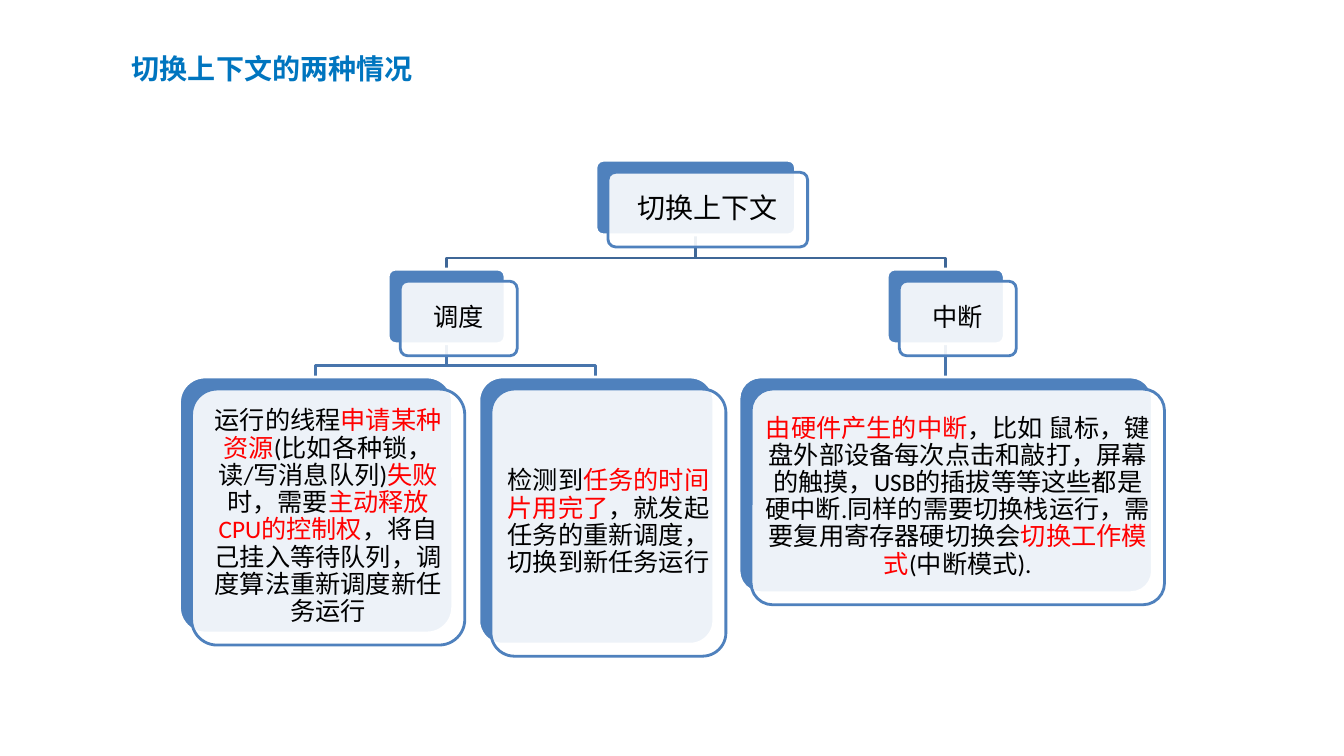
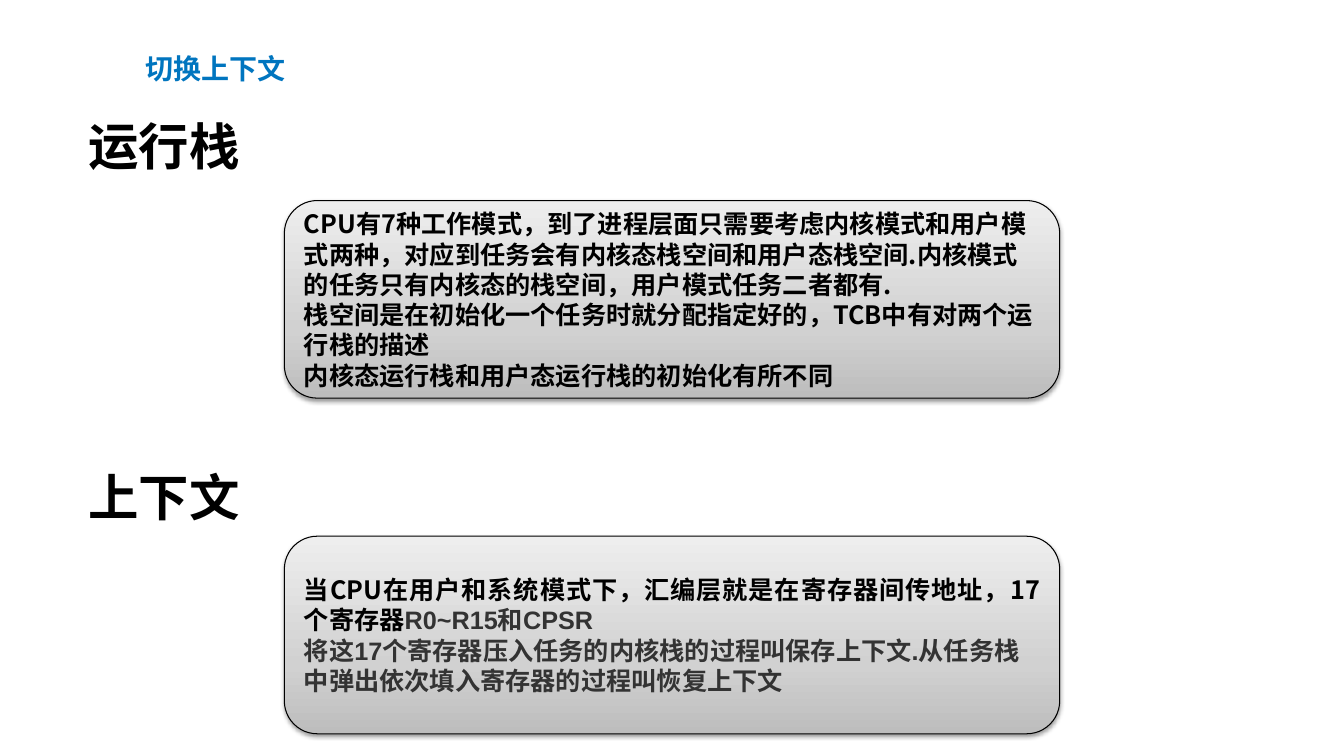
from copy import deepcopy
from dataclasses import dataclass

from lxml import etree
from pptx import Presentation
from pptx.dml.color import RGBColor
from pptx.enum.shapes import MSO_CONNECTOR, MSO_SHAPE
from pptx.enum.text import MSO_ANCHOR, PP_ALIGN
from pptx.oxml.ns import qn
from pptx.util import Emu, Pt

ROUNDED = MSO_SHAPE.ROUNDED_RECTANGLE
STRAIGHT = MSO_CONNECTOR.STRAIGHT
TOP, MIDDLE = MSO_ANCHOR.TOP, MSO_ANCHOR.MIDDLE
LEFT, CENTER, JUSTIFY = PP_ALIGN.LEFT, PP_ALIGN.CENTER, PP_ALIGN.JUSTIFY
EMU_PER_PX = 9144


def px(*lengths):
    return [Emu(length * EMU_PER_PX) for length in lengths]


@dataclass(frozen=True)
class Theme:
    title: str = "0075BF"
    ink: str = "000000"
    gray: str = "333333"
    alert: str = "FF0000"
    card: str = "4F81BD"
    paper: str = "FFFFFF"
    trunk: str = "3F6797"
    branch: str = "4875AC"
    panel: tuple = ((0, "BDBDBD"), (0.35, "D1D1D1"), (1, "EEEEEE"))
    cjk: str = "Noto Sans CJK SC"
    latin: str = "Calibri"
    heading: str = "Arial"
    heading_size: int = 36
    title_size: int = 20
    body_size: int = 18


@dataclass(frozen=True)
class Node:
    left: int
    top: int
    width: int
    height: int

    @property
    def middle(self):
        return self.left + self.width // 2

    @property
    def bottom(self):
        return self.top + self.height


class Deck:
    def __init__(self, theme):
        self.theme = theme
        self.presentation = Presentation()
        self.presentation.slide_width, self.presentation.slide_height = px(1333, 750)
        self.shapes = None

    def slide(self, title, left):
        layout = self.presentation.slide_layouts[6]
        self.shapes = self.presentation.slides.add_slide(layout).shapes
        theme = self.theme
        self.label(title, (left, 46, 318, 39), theme.title_size, theme.cjk, theme.title)

    def set_text(self, shape, paragraphs, size, font, color,
                 bold=False, align=LEFT, spacing=None, anchor=MIDDLE):
        frame = shape.text_frame
        frame.word_wrap = True
        frame.vertical_anchor = anchor
        for index, pieces in enumerate(paragraphs):
            paragraph = frame.add_paragraph() if index else frame.paragraphs[0]
            paragraph.alignment = align if index == 0 else LEFT
            if spacing:
                paragraph.line_spacing = spacing
            self.style(paragraph.font, size, font, color, bold)
            defaults = paragraph._p.pPr.find(qn("a:defRPr"))
            etree.SubElement(defaults, qn("a:ea"), typeface=self.theme.cjk)
            for text, run_color, run_font in pieces:
                run = paragraph.add_run()
                run.text = text
                if run_color:
                    run.font.color.rgb = RGBColor.from_string(run_color)
                if run_font:
                    run.font.name = run_font

    def style(self, target, size, font, color, bold):
        target.size = Pt(size)
        target.bold = bold
        target.color.rgb = RGBColor.from_string(color)
        target.name = font

    def label(self, text, box, size, font, color):
        shape = self.shapes.add_textbox(*px(*box))
        self.set_text(shape, [[plain(text)]], size, font, color, bold=True, anchor=TOP)

    def outline(self, shape, color, width):
        shape.line.color.rgb = RGBColor.from_string(color)
        shape.line.width = Pt(width)

    def rounded(self, box, line, width):
        shape = self.shapes.add_shape(ROUNDED, *px(*box))
        shape.shadow.inherit = False
        self.outline(shape, line, width)
        return shape

    def card(self, node, pieces, size, inset=7):
        theme = self.theme
        faces = ((0, theme.card, theme.paper), (12, theme.paper, theme.card))
        for shift, fill, line in faces:
            box = (node.left + shift, node.top + shift, node.width, node.height)
            face = self.rounded(box, line, 2)
            face.adjustments[0] = 0.1
            face.fill.solid()
            face.fill.fore_color.rgb = RGBColor.from_string(fill)
        tint = face._element.spPr.find(qn("a:solidFill")).find(qn("a:srgbClr"))
        etree.SubElement(tint, qn("a:alpha"), val="90000")
        frame = face.text_frame
        frame.margin_left, frame.margin_top = px(inset, inset)
        frame.margin_right, frame.margin_bottom = px(inset, inset)
        self.set_text(face, [pieces], size, theme.latin, theme.ink,
                      align=CENTER, spacing=0.9)

    def link(self, parent, child, color):
        start, end = (parent.middle, parent.bottom), (child.middle, child.top)
        if parent.middle == child.middle:
            link = self.shapes.add_connector(STRAIGHT, *px(*start, *end))
            etree.SubElement(link._element.spPr, qn("a:effectLst"))
        else:
            bend = child.top - 11
            outline = self.shapes.build_freeform(*start, scale=EMU_PER_PX)
            corners = [(parent.middle, bend), (child.middle, bend), end]
            outline.add_line_segments(corners, close=False)
            link = outline.convert_to_shape()
            link.shadow.inherit = False
            link.fill.background()
        self.outline(link, color, 2)

    def panel(self, top, paragraphs, align=LEFT):
        theme = self.theme
        panel = self.rounded((282, top, 769, 196), theme.ink, 0.75)
        panel.fill.gradient()
        panel.fill.gradient_angle = 90
        properties = panel._element.spPr
        stops = properties.find(qn("a:gradFill")).find(qn("a:gsLst"))
        stops.insert(1, deepcopy(stops[0]))
        for stop, (position, color) in zip(panel.fill.gradient_stops, theme.panel):
            stop.position = position
            stop.color.rgb = RGBColor.from_string(color)
        shadow = etree.SubElement(
            properties.find(qn("a:effectLst")), qn("a:outerShdw"),
            blurRad="40000", dist="20000", dir="5400000", rotWithShape="0")
        shade = etree.SubElement(shadow, qn("a:srgbClr"), val=theme.ink)
        etree.SubElement(shade, qn("a:alpha"), val="38000")
        self.set_text(panel, paragraphs, theme.body_size, theme.cjk, theme.ink,
                      bold=True, align=align)

    def section(self, text, top):
        theme = self.theme
        self.label(text, (78, top, 541, 71), theme.heading_size, theme.heading, theme.ink)


def plain(text, color=None, font=None):
    return text, color, font


def build_causes(deck):
    theme = deck.theme
    deck.slide("切换上下文的两种情况", 121)

    def alert(text):
        return plain(text, theme.alert)

    switch = Node(591, 159, 198, 74)
    schedule, interrupt = [Node(left, 267, 116, 74) for left in (385, 880)]
    blocked = Node(178, 374, 271, 254)
    expired = Node(475, 374, 233, 265)
    hardware = Node(733, 374, 410, 214)

    for parent, child, color in (
        (interrupt, hardware, theme.branch),
        (switch, interrupt, theme.trunk),
        (schedule, expired, theme.branch),
        (schedule, blocked, theme.branch),
        (switch, schedule, theme.trunk),
    ):
        deck.link(parent, child, color)

    deck.card(switch, [plain("切换上下文")], theme.title_size, inset=8)
    for node, pieces in (
        (schedule, [plain("调度")]),
        (blocked, [
            plain("运行的线程"), alert("申请某种资源"),
            plain("(比如各种锁，读/写消息队列)"), alert("失败"),
            plain("时，需要"), alert("主动释放CPU的控制权"),
            plain("，将自己挂入等待队列，调度算法重新调度新任务运行"),
        ]),
        (expired, [
            plain("检测到"), alert("任务的时间片用完了"),
            plain("，就发起任务的重新调度，切换到新任务运行"),
        ]),
        (interrupt, [plain("中断")]),
        (hardware, [
            alert("由硬件产生的中断"),
            plain("，比如 鼠标，键盘外部设备每次点击和敲打，屏幕的触摸，USB的插拔等等"
                  "这些都是硬中断.同样的需要切换栈运行，需要复用寄存器硬切换会"),
            alert("切换工作模式"), plain("(中断模式)."),
        ]),
    ):
        deck.card(node, pieces, theme.body_size)


def build_stacks(deck):
    theme = deck.theme
    deck.slide("切换上下文", 134)
    deck.section("运行栈", 109)
    deck.section("上下文", 457)
    deck.panel(199, [
        [plain("CPU有7种工作模式，到了进程层面只需要考虑内核模式和用户模式两种，"
               "对应到任务会有内核态栈空间和用户态栈空间."
               "内核模式的任务只有内核态的栈空间，用户模式任务二者都有.")],
        [plain("栈空间是在初始化一个任务时就分配指定好的，TCB中有对两个运行栈的描述")],
        [plain("内核态运行栈和用户态运行栈的初始化有所不同")],
    ])
    deck.panel(532, [
        [plain("当CPU在用户和系统模式下，汇编层就是在寄存器间传地址，17个寄存器"),
         plain("R0~R15和CPSR", theme.gray, theme.heading)],
        [plain("将这17个寄存器压入任务的内核栈的过程叫保存上下文."
               "从任务栈中弹出依次填入寄存器的过程叫恢复上下文", theme.gray, theme.heading)],
    ], align=JUSTIFY)


def main():
    deck = Deck(Theme())
    build_causes(deck)
    build_stacks(deck)
    deck.presentation.save("out.pptx")


if __name__ == "__main__":
    main()
